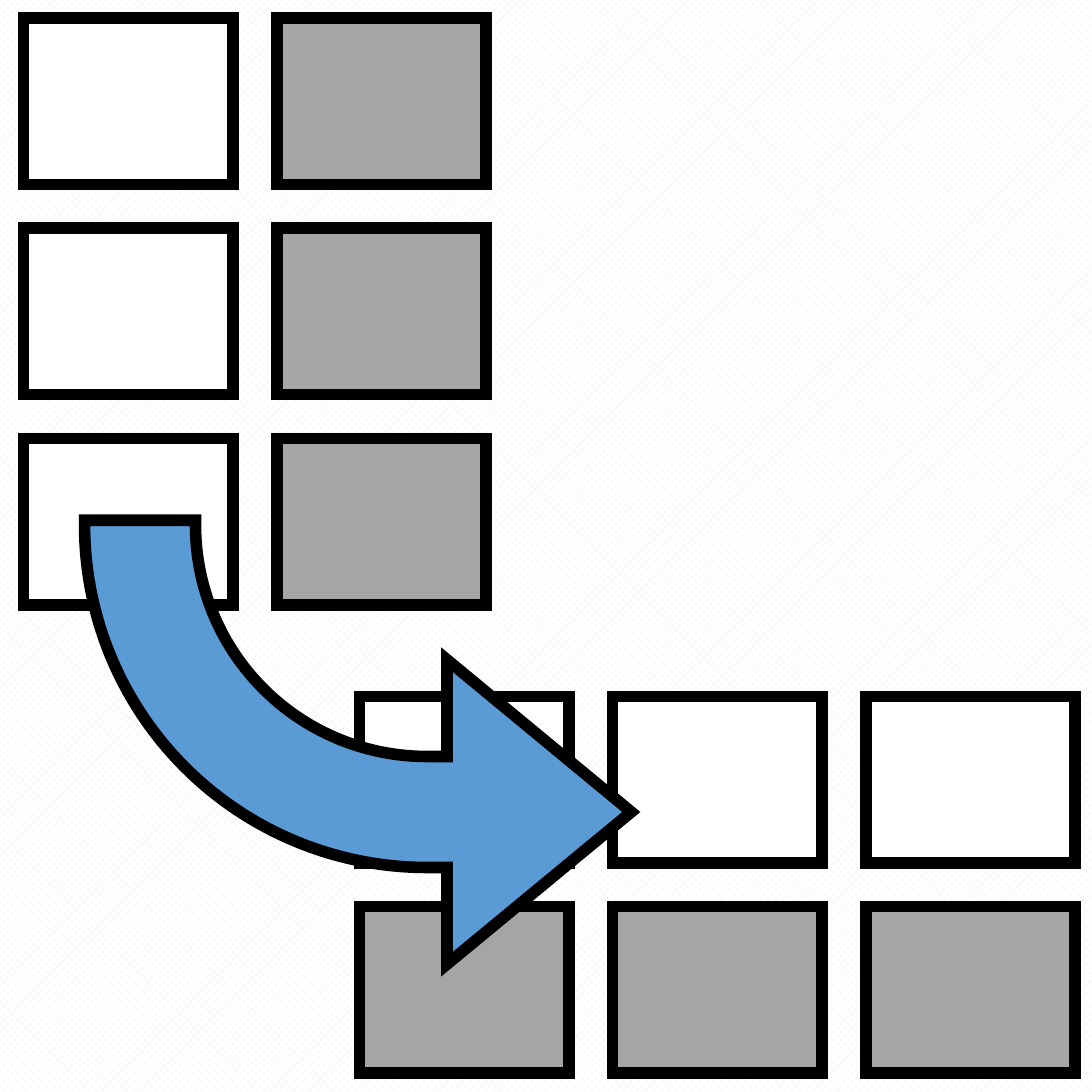
from lxml import etree
from pptx import Presentation
from pptx.dml.color import RGBColor
from pptx.enum.dml import MSO_PATTERN
from pptx.enum.shapes import MSO_SHAPE
from pptx.oxml.ns import qn
from pptx.util import Inches, Pt

RECTANGLE = MSO_SHAPE.RECTANGLE
BENT_ARROW = MSO_SHAPE.BENT_ARROW
CHECKERBOARD = MSO_PATTERN.LARGE_CHECKER_BOARD

WHITE = RGBColor(0xFF, 0xFF, 0xFF)
PALE_GRAY = RGBColor(0xF2, 0xF2, 0xF2)
GRAY = RGBColor(0xA5, 0xA5, 0xA5)
BLUE = RGBColor(0x5B, 0x9B, 0xD5)
BLACK = RGBColor(0, 0, 0)

SLIDE_SIZE = 7.87
CELL_WIDTH, CELL_HEIGHT = 1.51, 1.2
COLUMN_STEP, ROW_STEP = 1.825, 1.515


def paint_background(slide):
    fill = slide.background.fill
    fill.patterned()
    fill.pattern = CHECKERBOARD
    fill.fore_color.rgb = PALE_GRAY
    fill.back_color.rgb = WHITE


def add_outlined_shape(slide, kind, left, top, width, height, color):
    """Add a filled shape with a thick black, sharp-cornered outline."""
    shape = slide.shapes.add_shape(
        kind, Inches(left), Inches(top), Inches(width), Inches(height))
    shape.shadow.inherit = False
    shape.fill.solid()
    shape.fill.fore_color.rgb = color
    shape.line.color.rgb = BLACK
    shape.line.width = Pt(6)
    outline = shape.element.spPr.find(qn("a:ln"))
    etree.SubElement(outline, qn("a:miter"), lim="800000")
    return shape


def add_matrix(slide, left, top, color_rows):
    for row, colors in enumerate(color_rows):
        for column, color in enumerate(colors):
            add_outlined_shape(
                slide, RECTANGLE,
                left + column * COLUMN_STEP, top + row * ROW_STEP,
                CELL_WIDTH, CELL_HEIGHT, color)


def add_transpose_arrow(slide):
    arrow = add_outlined_shape(
        slide, BENT_ARROW, 0.61, 3.75, 3.94, 3.2, BLUE)
    for index, value in enumerate((0.25, 0.343, 0.415, 0.771)):
        arrow.adjustments[index] = value
    arrow.element.spPr.find(qn("a:xfrm")).set("flipV", "1")


def main():
    presentation = Presentation()
    presentation.slide_width = Inches(SLIDE_SIZE)
    presentation.slide_height = Inches(SLIDE_SIZE)
    slide = presentation.slides.add_slide(presentation.slide_layouts[6])

    paint_background(slide)
    tall_matrix = [(WHITE, GRAY)] * 3
    wide_matrix = list(zip(*tall_matrix))
    add_matrix(slide, 2.59, 5.02, wide_matrix)
    add_matrix(slide, 0.17, 0.13, tall_matrix)
    add_transpose_arrow(slide)

    presentation.save("out.pptx")


if __name__ == "__main__":
    main()
